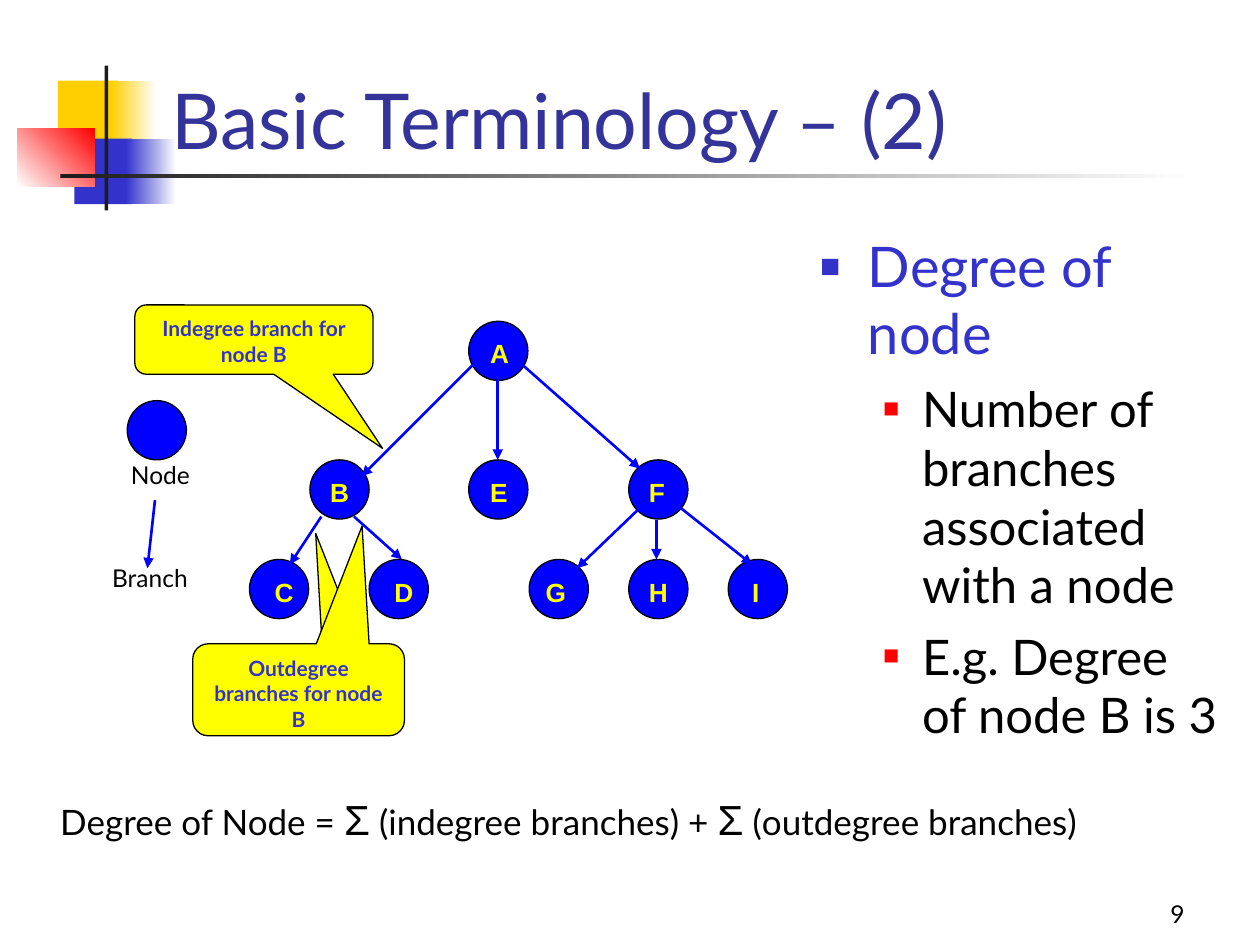
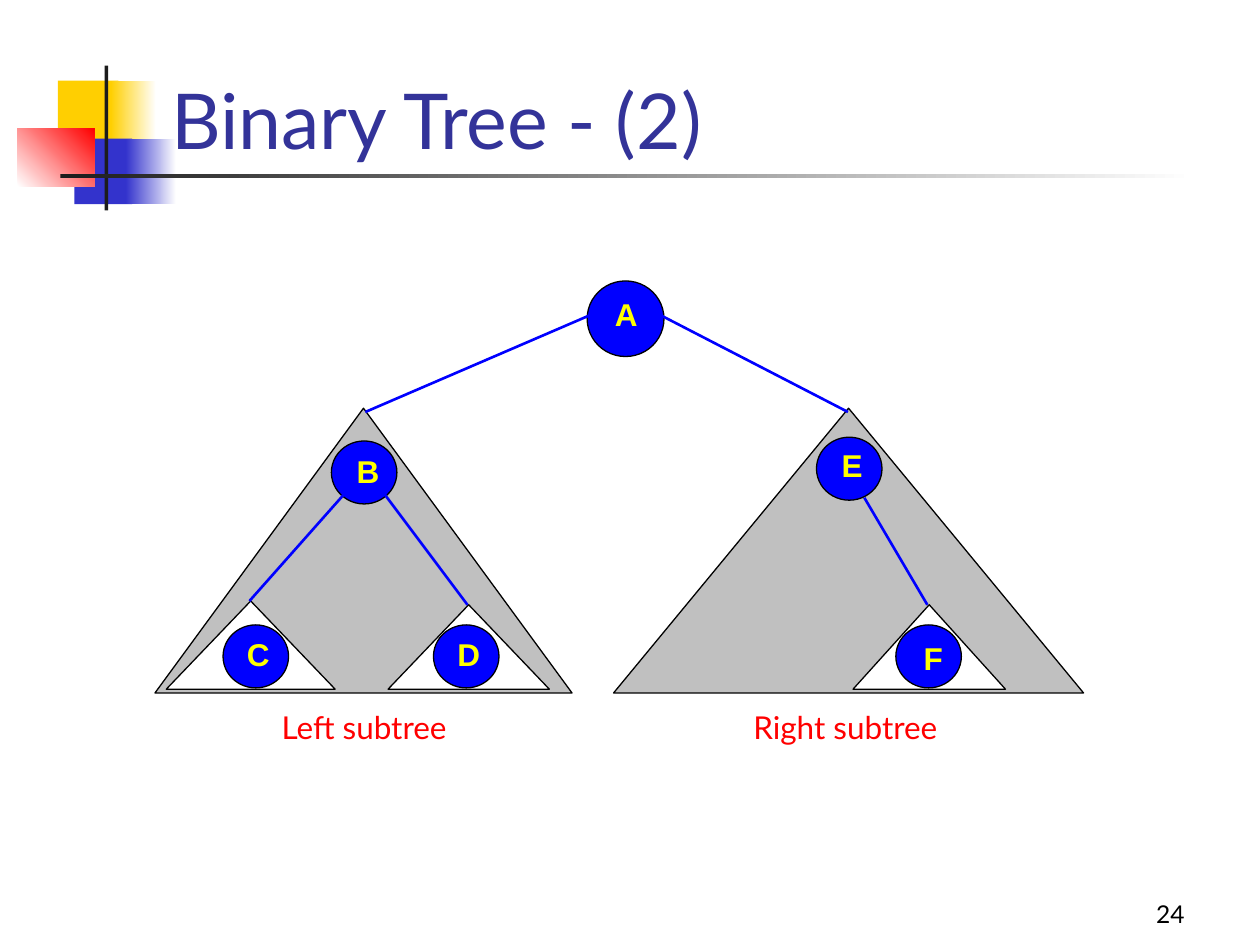
from lxml import etree
from pptx import Presentation
from pptx.dml.color import RGBColor
from pptx.enum.shapes import MSO_CONNECTOR, MSO_SHAPE
from pptx.enum.text import MSO_ANCHOR, PP_ALIGN
from pptx.oxml.ns import qn
from pptx.util import Pt

PX = 9144

BLACK = RGBColor(0x00, 0x00, 0x00)
WHITE = RGBColor(0xFF, 0xFF, 0xFF)
CHARCOAL = RGBColor(0x1C, 0x1C, 0x1C)
GREY = RGBColor(0xC0, 0xC0, 0xC0)
GOLD = RGBColor(0xFF, 0xCF, 0x01)
YELLOW = RGBColor(0xFF, 0xFF, 0x00)
RED = RGBColor(0xFF, 0x00, 0x00)
BLUE = RGBColor(0x00, 0x00, 0xFF)
INDIGO = RGBColor(0x33, 0x33, 0xCC)
NAVY = RGBColor(0x33, 0x33, 0x99)

CIRCLE = MSO_SHAPE.FLOWCHART_CONNECTOR
TRIANGLE = MSO_SHAPE.ISOSCELES_TRIANGLE


def emu(*lengths):
    """Turn px lengths into EMU."""
    return [round(n * PX) for n in lengths]


def shift(origin, x, y, *size):
    """Move a point or box from its region onto the slide."""
    return (origin[0] + x, origin[1] + y, *size)


def write(p, text, size=14, color=BLACK, font="Lato", bold=False, align=PP_ALIGN.LEFT):
    """Add a formatted run to a paragraph."""
    p.alignment = align
    r = p.add_run()
    r.text = text
    r.font.size = Pt(size)
    r.font.name = font
    r.font.bold = bold
    r.font.color.rgb = color


def set_frame(sp, insets=(10, 5, 10, 5), anchor=MSO_ANCHOR.TOP):
    """Set wrapping, insets and anchor, and return the text frame."""
    tf = sp.text_frame
    tf.word_wrap = True
    tf.vertical_anchor = anchor
    tf.margin_left, tf.margin_top, tf.margin_right, tf.margin_bottom = emu(*insets)
    return tf


def add_box(s, box, **frame):
    """Add a text box and return its text frame."""
    return set_frame(s.shapes.add_textbox(*emu(*box)), **frame)


def add_shape(s, kind, box, fill, fade=None, angle=0, line=None):
    """Add a preset shape with a plain or fading fill."""
    sp = s.shapes.add_shape(kind, *emu(*box))
    sp.shadow.inherit = False
    if fade is None:
        sp.fill.solid()
        sp.fill.fore_color.rgb = fill
    else:
        sp.fill.gradient()
        sp.fill.gradient_angle = angle
        for stop, color in zip(sp.fill.gradient_stops, (fill, fade)):
            stop.color.rgb = color
    if line is None:
        sp.line.fill.background()
    else:
        sp.line.color.rgb = line
        sp.line.width = Pt(0.75)
    return sp


def add_branch(s, start, end, arrow=False):
    """Add a blue branch line, with an arrowhead if asked."""
    cx = s.shapes.add_connector(MSO_CONNECTOR.STRAIGHT, *emu(*start, *end))
    cx.line.color.rgb = BLUE
    cx.line.width = Pt(1.5)
    if arrow:
        etree.SubElement(cx.line._get_or_add_ln(), qn("a:tailEnd"), type="triangle")
    etree.SubElement(cx._element.spPr, qn("a:effectLst"))


def add_bullet(p, color, percent, left, hang):
    """Give a paragraph a square bullet and a hanging indent."""
    pPr = p._p.get_or_add_pPr()
    pPr.set("marL", str(left * PX))
    pPr.set("indent", str(-hang * PX))
    clr = etree.SubElement(pPr, qn("a:buClr"))
    etree.SubElement(clr, qn("a:srgbClr"), val=str(color))
    etree.SubElement(pPr, qn("a:buSzPct"), val=str(percent * 1000))
    etree.SubElement(pPr, qn("a:buFont"), typeface="Arial")
    etree.SubElement(pPr, qn("a:buChar"), char="■")


def add_base(prs, title, number):
    """Add a slide with the corner blocks, rules, title and page number."""
    s = prs.slides.add_slide(prs.slide_layouts[6])
    blocks = [
        ((46, 64, 48, 52), GOLD, None, 0),
        ((88, 64, 36, 52), GOLD, WHITE, 0),
        ((59, 110, 46, 52), INDIGO, None, 0),
        ((100, 110, 40, 52), INDIGO, WHITE, 0),
        ((14, 102, 61, 46), WHITE, RED, 45),
        ((83, 52, 3, 115), CHARCOAL, None, 0),
        ((48, 138, 900, 3), CHARCOAL, WHITE, 0),
    ]
    for box, fill, fade, angle in blocks:
        add_shape(s, MSO_SHAPE.RECTANGLE, box, fill, fade, angle)
    tf = add_box(s, (742, 692, 208, 50), anchor=MSO_ANCHOR.BOTTOM)
    write(tf.paragraphs[0], str(number), align=PP_ALIGN.RIGHT)
    tf = add_box(s, (126, 11, 852, 125), anchor=MSO_ANCHOR.BOTTOM)
    write(tf.paragraphs[0], title, size=44, color=NAVY)
    return s


def add_tree(s, origin, nodes, branches, label_size, insets, size, arrow=False):
    """Draw circles, then branches, then letters, within one region."""
    for _, circle, _ in nodes:
        add_shape(s, CIRCLE, shift(origin, *circle), BLUE, line=BLACK)
    for start, end in branches:
        add_branch(s, shift(origin, *start), shift(origin, *end), arrow)
    for letter, circle, nudge in nodes:
        corner = shift(circle, *nudge)
        tf = add_box(s, shift(origin, *corner, *label_size), insets=insets)
        write(tf.paragraphs[0], letter, size=size, color=YELLOW, font="Arial", bold=True)


def add_degree_tree(s, origin):
    """Draw the three-level tree with arrows."""
    top, middle, bottom, d = 0, 110, 189, 47
    places = [
        ("A", 174, top, 4), ("B", 48, middle, 3), ("C", 0, bottom, 7),
        ("D", 95, bottom, 7), ("E", 174, middle, 4), ("F", 301, middle, 3),
        ("G", 222, bottom, 0), ("H", 301, bottom, 3), ("I", 380, bottom, 6),
    ]
    nodes = [(letter, (x, y, d, d), (dx, 7)) for letter, x, y, dx in places]
    branches = [
        ((178, 34), (89, 123)), ((197, 47), (197, 110)), ((216, 34), (310, 117)),
        ((57, 155), (32, 193)), ((83, 155), (121, 189)), ((323, 158), (323, 189)),
        ((310, 148), (260, 196)), ((342, 148), (399, 193)),
    ]
    add_tree(s, origin, nodes, branches, (38, 35), (13, 6, 13, 6), 15, arrow=True)


def add_legend(s, origin):
    """Show what a node and a branch look like."""
    add_shape(s, CIRCLE, shift(origin, 25, 0, 47, 47), BLUE, line=BLACK)
    add_branch(s, shift(origin, 47, 79), shift(origin, 41, 133), arrow=True)
    for text, box in (("Node", (15, 41, 76, 38)), ("Branch", (0, 123, 89, 38))):
        tf = add_box(s, shift(origin, *box), insets=(13, 6, 13, 6))
        write(tf.paragraphs[0], text)


def add_callout(s, box, tip, text=""):
    """Add a yellow callout whose tail ends at the tip."""
    sp = add_shape(s, MSO_SHAPE.ROUNDED_RECTANGULAR_CALLOUT, box, YELLOW, line=BLACK)
    sp.adjustments[0], sp.adjustments[1] = tip
    if text:
        tf = set_frame(sp, insets=(13, 6, 13, 6))
        write(tf.paragraphs[0], text, size=12, color=INDIGO, bold=True,
              align=PP_ALIGN.CENTER)


def add_definition(s, box):
    """List the term and its two points."""
    tf = add_box(s, box)
    p = tf.paragraphs[0]
    add_bullet(p, INDIGO, 60, 38, 38)
    write(p, "Degree of node", size=32, color=INDIGO)
    for text in ("Number of branches associated with a node", "E.g. Degree of node B is 3"):
        p = tf.add_paragraph()
        p.level = 1
        add_bullet(p, RED, 55, 81, 31)
        p.space_before = Pt(7)
        write(p, text, size=28)


def add_formula(s, box):
    """Write the degree formula with larger sums."""
    p = add_box(s, box).paragraphs[0]
    write(p, "Degree of Node = ", size=20)
    for term in (" (indegree branches) + ", " (outdegree branches)"):
        write(p, "Σ", size=24, font="Arial")
        write(p, term, size=20)


def add_terminology_slide(prs):
    """Build the slide on the degree of a node."""
    s = add_base(prs, "Basic Terminology – (2)", 9)
    add_definition(s, (641, 179, 339, 491))
    add_degree_tree(s, (198, 255))
    add_legend(s, (76, 318))
    add_callout(s, (107, 242, 189, 55), (0.54, 1.57), "Indegree branch for node B")
    add_callout(s, (182, 518, 127, 52), (0.04, -2.32))
    add_callout(s, (153, 511, 168, 73), (0.3, -1.78), "Outdegree branches for node B")
    add_formula(s, (38, 625, 886, 50))


def add_subtrees(s, origin):
    """Draw the binary tree over its subtree triangles."""
    triangles = [
        ((364, 101, 373, 226), GREY), ((0, 101, 331, 226), GREY),
        ((554, 257, 121, 67), WHITE), ((185, 257, 128, 67), WHITE),
        ((9, 254, 134, 70), WHITE),
    ]
    for box, fill in triangles:
        add_shape(s, TRIANGLE, shift(origin, *box), fill, line=BLACK)
    small = (52, 50)
    nodes = [
        ("A", (343, 0, 61, 60), (0, 4)), ("B", (140, 127, *small), (-2, 2)),
        ("C", (54, 273, *small), (-3, 1)), ("D", (221, 273, *small), (-3, 1)),
        ("E", (525, 124, *small), (-2, 0)), ("F", (588, 273, *small), (0, 4)),
    ]
    branches = [
        ((348, 26), (167, 104)), ((399, 26), (550, 104)), ((153, 166), (75, 254)),
        ((182, 169), (248, 257)), ((563, 172), (613, 257)),
    ]
    add_tree(s, origin, nodes, branches, (56, 50), (22, 7, 12, 7), 18)
    for text, x in (("Left subtree", 51), ("Right subtree", 433)):
        sp = add_shape(s, MSO_SHAPE.RECTANGLE, shift(origin, x, 333, 230, 42), WHITE)
        tf = set_frame(sp, insets=(12, 6, 12, 6))
        write(tf.paragraphs[0], text, size=18, color=RED, align=PP_ALIGN.CENTER)


def add_binary_slide(prs):
    """Build the slide on the binary tree."""
    s = add_base(prs, "Binary Tree - (2)", 24)
    add_subtrees(s, (123, 223))


def main():
    """Build and save the presentation."""
    prs = Presentation()
    prs.slide_width, prs.slide_height = emu(1000, 750)
    add_terminology_slide(prs)
    add_binary_slide(prs)
    prs.save("out.pptx")


if __name__ == "__main__":
    main()
